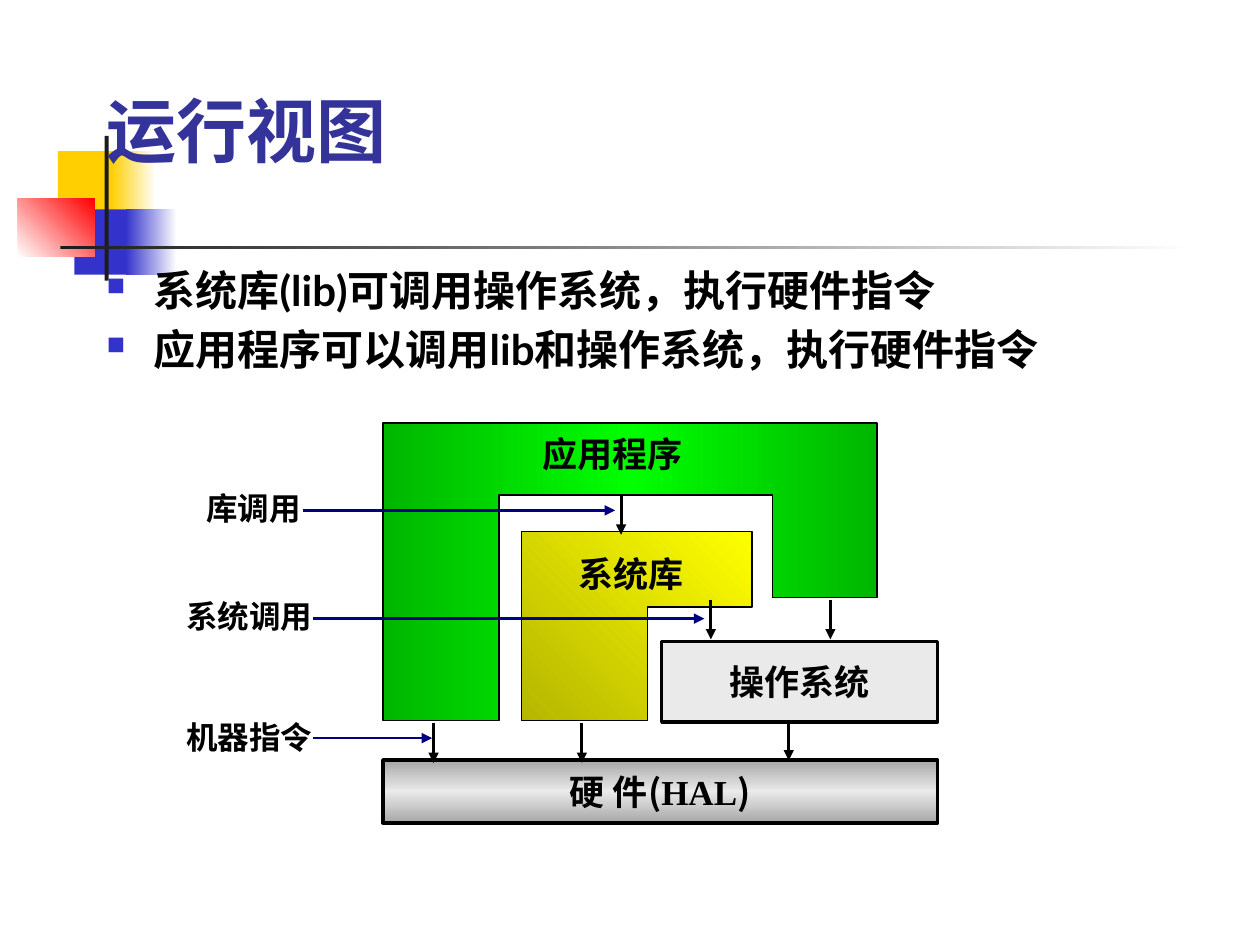
import pptx
import pptx.dml.color
import pptx.enum.shapes
import pptx.enum.text
import pptx.oxml
import pptx.oxml.ns
import pptx.util
from lxml import etree
from pptx.util import Cm

qn = pptx.oxml.ns.qn
ALIGN = pptx.enum.text.PP_ALIGN
ANCHOR = pptx.enum.text.MSO_ANCHOR
SERIF, SANS, CJK = "Times New Roman", "Lato", "Noto Sans CJK SC"
BLACK, WHITE, NAVY, INK = "000000", "FFFFFF", "000080", "1C1C1C"
GOLD, BLUE, GREY, GREEN = "FFCF01", "3333CC", "EAEAEA", "00FF00"
DARK = 46275
FULL = 100000

DECORATION = [
    ((1.17, 3.05, 1.22, 1.32), GOLD, None),
    ((2.24, 3.05, 0.91, 1.32), [(GOLD, FULL), (WHITE, FULL)], 0),
    ((1.5, 4.22, 1.17, 1.32), BLUE, None),
    ((2.54, 4.22, 1.02, 1.32), [(BLUE, FULL), (WHITE, FULL)], 0),
    ((0.36, 4.01, 1.55, 1.17), [(WHITE, FULL), ("FF0000", FULL)], 315),
    ((2.11, 2.74, 0.08, 2.92), INK, None),
    ((1.22, 4.95, 22.86, 0.08), [(INK, FULL), (WHITE, FULL)], 0),
]
POINTS = ["系统库(lib)可调用操作系统，执行硬件指令",
          "应用程序可以调用lib和操作系统，执行硬件指令"]
LIBRARY = [(13.06, 14.53), (10.52, 14.53), (10.52, 10.72), (15.16, 10.72),
           (15.16, 12.24), (13.06, 12.24)]
APPLICATION = [(10.06, 14.53), (7.72, 14.53), (7.72, 8.53), (17.68, 8.53),
               (17.68, 12.04), (15.57, 12.04), (15.57, 9.98), (10.06, 9.98)]
LABELS = [
    ("系统库", (11.13, 11.02, 3.18, 1.09), 20, ALIGN.CENTER),
    ("应用程序", (10.69, 8.59, 3.38, 1.09), 20, ALIGN.LEFT),
    ("机器指令", (3.51, 14.35, 3.38, 1.02), 18, ALIGN.LEFT),
    ("系统调用", (3.51, 11.91, 3.61, 1.02), 18, ALIGN.LEFT),
    ("库调用", (3.91, 9.73, 2.54, 1.02), 18, ALIGN.LEFT),
]
DOWN_CALLS = [(8.74, 14.58), (11.73, 14.58), (15.9, 14.53),
              (14.33, 12.09), (16.74, 12.09), (12.52, 9.98)]
DOWN_LENGTH = 0.8
CALL_POINTERS = [(6.1, 12.4, 10.29), (6.3, 14.2, 12.47), (6.3, 8.71, 14.88)]


def color(value):
    """Turn a hex string into a colour."""
    return pptx.dml.color.RGBColor.from_string(value)


def place(box):
    """Convert centimetre values to lengths."""
    return [Cm(value) for value in box]


def paint(shape, fill, angle=None, line=None):
    """Fill a shape with a colour or evenly spaced (colour, shade) stops."""
    shape.shadow.inherit = False
    if angle is None:
        shape.fill.solid()
        shape.fill.fore_color.rgb = color(fill)
    else:
        shape.fill.gradient()
        step = FULL // (len(fill) - 1)
        stops = "".join(
            f'<a:gs pos="{i * step}"><a:srgbClr val="{tone}">'
            + (f'<a:shade val="{shade}"/>' if shade < FULL else "")
            + "</a:srgbClr></a:gs>" for i, (tone, shade) in enumerate(fill))
        gradient = pptx.oxml.parse_xml(
            f'<a:gradFill {pptx.oxml.ns.nsdecls("a")} rotWithShape="1">'
            f'<a:gsLst>{stops}</a:gsLst>'
            f'<a:lin ang="{angle * 60000}" scaled="1"/></a:gradFill>')
        properties = shape._element.spPr
        properties.replace(properties.find(qn("a:gradFill")), gradient)
    if line is None:
        shape.line.fill.background()
    else:
        shape.line.color.rgb = color(BLACK)
        shape.line.width = pptx.util.Pt(line)


def style(run, size, font=SERIF, tone=BLACK):
    """Format a run in bold."""
    run.font.size = pptx.util.Pt(size)
    run.font.name = font
    run.font.bold = True
    run.font.color.rgb = color(tone)


def add_rectangle(parent, box, fill, angle=None, line=None):
    """Add a painted rectangle."""
    kind = pptx.enum.shapes.MSO_SHAPE.RECTANGLE
    rectangle = parent.add_shape(kind, *place(box))
    paint(rectangle, fill, angle, line)
    return rectangle


def add_layer(parent, box, parts, fill, angle=None):
    """Add an outlined layer with centred text given as (text, font) parts."""
    layer = add_rectangle(parent, box, fill, angle, 2)
    frame = layer.text_frame
    frame.word_wrap = False
    frame.vertical_anchor = ANCHOR.MIDDLE
    frame.paragraphs[0].alignment = ALIGN.CENTER
    for text, font in parts:
        run = frame.paragraphs[0].add_run()
        run.text = text
        style(run, 20, font)
    return layer


def add_outline(parent, corners, fill, angle):
    """Add a closed polygon through the corners."""
    start, *others = [place(corner) for corner in corners]
    builder = parent.build_freeform(*start)
    builder.add_line_segments(others, close=True)
    paint(builder.convert_to_shape(), fill, angle, 0.75)


def add_label(parent, text, box, size, alignment):
    """Add a one-line label."""
    frame = parent.add_textbox(*place(box)).text_frame
    frame.word_wrap = True
    frame.text = text
    frame.paragraphs[0].alignment = alignment
    style(frame.paragraphs[0].runs[0], size)


def add_arrow(parent, ends, tone, width):
    """Add a straight arrow."""
    kind = pptx.enum.shapes.MSO_CONNECTOR.STRAIGHT
    arrow = parent.add_connector(kind, *place(ends))
    arrow.line.color.rgb = color(tone)
    arrow.line.width = pptx.util.Pt(width)
    properties = arrow._element.spPr
    etree.SubElement(properties.find(qn("a:ln")), qn("a:tailEnd"), type="triangle")
    etree.SubElement(properties, qn("a:effectLst"))


def add_title(slide, text):
    """Format the title and bring it above the decoration."""
    title = slide.shapes.title
    title.left, title.top, title.width, title.height = place((1.9, 0.84, 21.59, 2.74))
    title.text_frame.text = text
    title.text_frame.vertical_anchor = ANCHOR.BOTTOM
    title.text_frame.paragraphs[0].alignment = ALIGN.LEFT
    style(title.text_frame.paragraphs[0].runs[0], 40, SANS, "333399")
    slide.shapes._spTree.append(title._element)


def add_points(slide):
    """Add the bulleted statements."""
    frame = slide.shapes.add_textbox(*place((1.9, 5.21, 21.59, 12.34))).text_frame
    frame.word_wrap = True
    frame.text = "\n".join(POINTS)
    for index, paragraph in enumerate(frame.paragraphs):
        properties = paragraph._p.get_or_add_pPr()
        properties.set("marL", str(Cm(0.95)))
        properties.set("indent", str(-Cm(0.95)))
        tint = etree.SubElement(properties, qn("a:buClr"))
        etree.SubElement(tint, qn("a:srgbClr"), val=BLUE)
        etree.SubElement(properties, qn("a:buSzPct"), val="60000")
        etree.SubElement(properties, qn("a:buChar"), char="■")
        if index:
            paragraph.space_before = pptx.util.Pt(4.8)
        style(paragraph.runs[0], 24, SANS)


def add_diagram(slide):
    """Add the grouped layers, labels and call arrows."""
    diagram = slide.shapes.add_group_shape().shapes
    add_layer(diagram, (7.72, 15.32, 11.18, 1.27),
              [("硬 件", SERIF), ("(", CJK), ("HAL", SERIF), (")", CJK)],
              [(GREY, DARK), (GREY, FULL), (GREY, DARK)], 90)
    system = add_layer(diagram, (13.34, 12.93, 5.56, 1.63), [("操作系统", SERIF)], GREY)
    tone = system._element.spPr.find(qn("a:solidFill")).find(qn("a:srgbClr"))
    etree.SubElement(tone, qn("a:alpha"), val="96000")
    add_outline(diagram, LIBRARY, [("FFFF00", DARK), ("FFFF00", FULL)], 315)
    add_outline(diagram, APPLICATION, [(GREEN, DARK), (GREEN, FULL), (GREEN, DARK)], 0)
    for label in LABELS:
        add_label(diagram, *label)
    for x, top in DOWN_CALLS:
        add_arrow(diagram, (x, top, x, top + DOWN_LENGTH), BLACK, 1.75)
    for left, right, y in CALL_POINTERS:
        add_arrow(diagram, (left, y, right, y), NAVY, 1.5)


def main():
    """Build the slide and save it."""
    deck = pptx.Presentation()
    deck.slide_width, deck.slide_height = Cm(25.4), Cm(19.05)
    slide = deck.slides.add_slide(deck.slide_layouts[5])
    for box, fill, angle in DECORATION:
        add_rectangle(slide.shapes, box, fill, angle)
    add_title(slide, "运行视图")
    add_points(slide)
    add_diagram(slide)
    deck.save("out.pptx")


if __name__ == "__main__":
    main()
